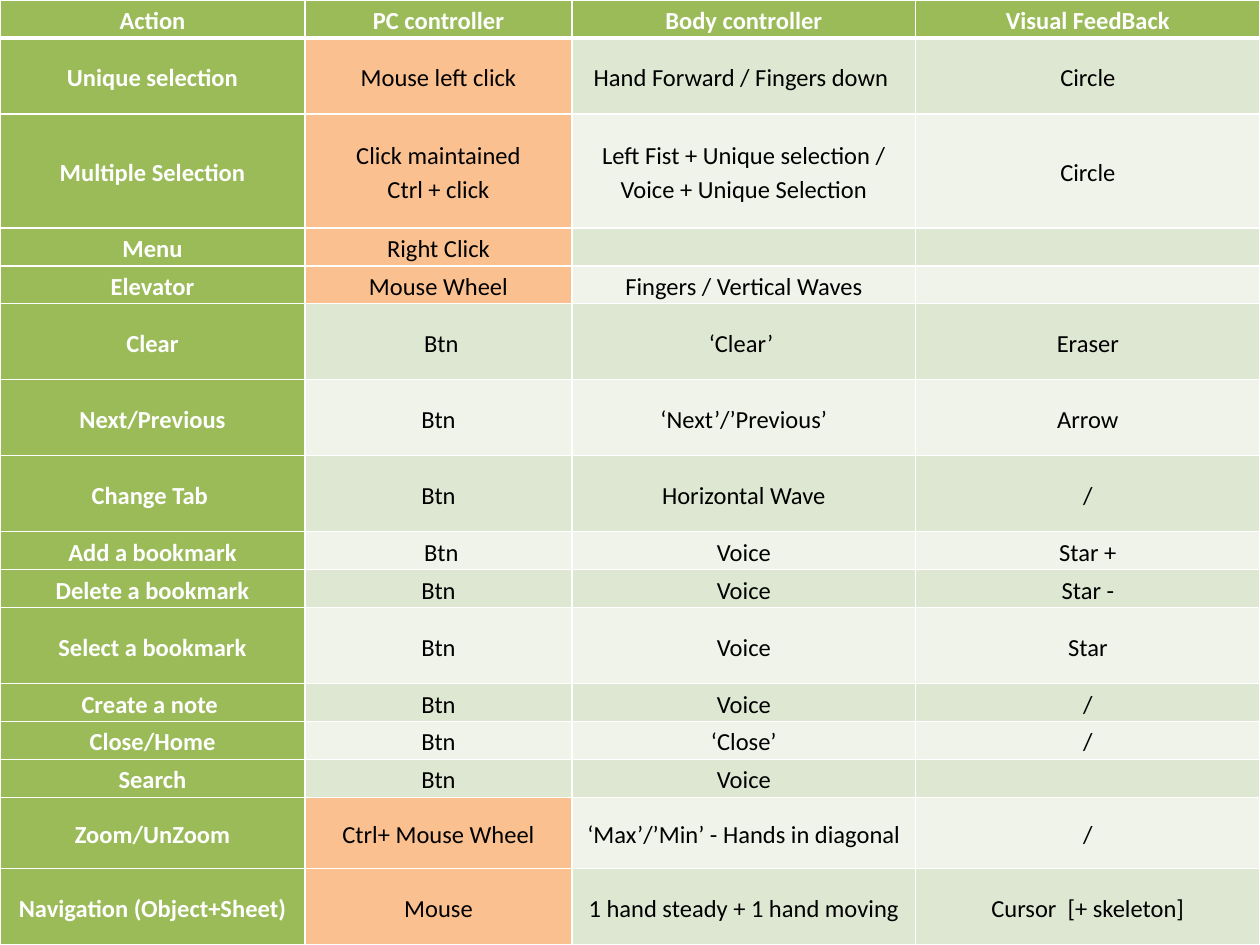
from lxml import etree
from pptx import Presentation
from pptx.dml.color import RGBColor
from pptx.enum.text import MSO_ANCHOR, PP_ALIGN
from pptx.oxml.ns import qn
from pptx.util import Cm, Pt

CENTER = PP_ALIGN.CENTER
MIDDLE = MSO_ANCHOR.MIDDLE
SLIDE_WIDTH, SLIDE_HEIGHT = 25.4, 19.05
BLANK_LAYOUT = 6

GREEN, ORANGE = "9BBB59", "FAC090"
BANDS = ("EFF3EA", "DEE7D1")
WHITE, BLACK = "FFFFFF", "000000"

COLUMN_WIDTHS = (6.15, 5.38, 6.93, 6.94)

# Row height in text lines, then the four cells
ROWS = [
    (1, "Action", "PC controller", "Body controller", "Visual FeedBack"),
    (2, "Unique selection", "Mouse left click", "Hand Forward / Fingers down ", "Circle"),
    (3, "Multiple Selection", "Click maintained\nCtrl + click",
     "Left Fist + Unique selection / Voice + Unique Selection", "Circle"),
    (1, "Menu", "Right Click", "", ""),
    (1, "Elevator", "Mouse Wheel", "Fingers / Vertical Waves", ""),
    (2, "Clear", " Btn", "‘Clear’ ", "Eraser"),
    (2, "Next/Previous", "Btn", "‘Next’/’Previous’", "Arrow"),
    (2, "Change Tab ", "Btn", "Horizontal Wave", "/"),
    (1, "Add a bookmark", " Btn", "Voice", "Star +"),
    (1, "Delete a bookmark", "Btn", "Voice", "Star -"),
    (2, "Select a bookmark", "Btn", "Voice", "Star"),
    (1, "Create a note ", "Btn", "Voice", "/"),
    (1, "Close/Home", "Btn", "‘Close’", "/"),
    (1, "Search", "Btn", "Voice", ""),
    (1.88, "Zoom/UnZoom", "Ctrl+ Mouse Wheel", "‘Max’/’Min’ - Hands in diagonal", "/"),
    (2, "Navigation (Object+Sheet)", "Mouse", "1 hand steady + 1 hand moving",
     "Cursor  [+ skeleton]"),
]


def color(hex_string):
    return RGBColor.from_string(hex_string)


class SlideBuilder:
    def __init__(self, slide, font="Calibri", size=14):
        self.slide = slide
        self.font = font
        self.size = size

    def border(self, cell, side, width):
        line = etree.SubElement(cell._tc.get_or_add_tcPr(), qn(f"a:ln{side}"), w=str(Pt(width)))
        fill = etree.SubElement(line, qn("a:solidFill"))
        etree.SubElement(fill, qn("a:srgbClr"), val=WHITE)

    def cell(self, cell, text, fill, heading, top, bottom):
        for side, width in (("L", 1), ("R", 1), ("T", top), ("B", bottom)):
            self.border(cell, side, width)
        cell.fill.solid()
        cell.fill.fore_color.rgb = color(fill)
        cell.vertical_anchor = MIDDLE
        cell.margin_left = cell.margin_right = Cm(0.18)
        cell.margin_top = cell.margin_bottom = 0
        cell.text_frame.text = text
        for paragraph in cell.text_frame.paragraphs:
            paragraph.alignment = CENTER
            paragraph.line_spacing = 1.15
            for run in paragraph.runs:
                run.font.name = self.font
                run.font.size = Pt(self.size)
                run.font.bold = heading
                run.font.color.rgb = color(WHITE if heading else BLACK)
            # Keeps empty cells from stretching their row
            etree.SubElement(paragraph._p, qn("a:endParaRPr"), sz=str(self.size * 100))

    def table(self, rows, widths):
        table = self.slide.shapes.add_table(
            len(rows), len(widths), 0, 0, Cm(SLIDE_WIDTH), Cm(SLIDE_HEIGHT)).table
        table.first_row = table.horz_banding = False
        for column, width in zip(table.columns, widths):
            column.width = Cm(width)
        line_height = SLIDE_HEIGHT / sum(row[0] for row in rows)
        for i, (lines, *texts) in enumerate(rows):
            table.rows[i].height = Cm(lines * line_height)
            for j, text in enumerate(texts):
                heading = i == 0 or j == 0
                # Mouse actions stand out from the buttons
                mouse = j == 1 and "Btn" not in text
                fill = GREEN if heading else ORANGE if mouse else BANDS[i % 2]
                self.cell(table.cell(i, j), text, fill, heading,
                          top=3 if i == 1 else 1, bottom=3 if i == 0 else 1)


def main():
    presentation = Presentation()
    presentation.slide_width = Cm(SLIDE_WIDTH)
    presentation.slide_height = Cm(SLIDE_HEIGHT)
    slide = presentation.slides.add_slide(presentation.slide_layouts[BLANK_LAYOUT])

    # Controls for each action
    SlideBuilder(slide).table(ROWS, COLUMN_WIDTHS)
    presentation.save("out.pptx")


if __name__ == "__main__":
    main()
